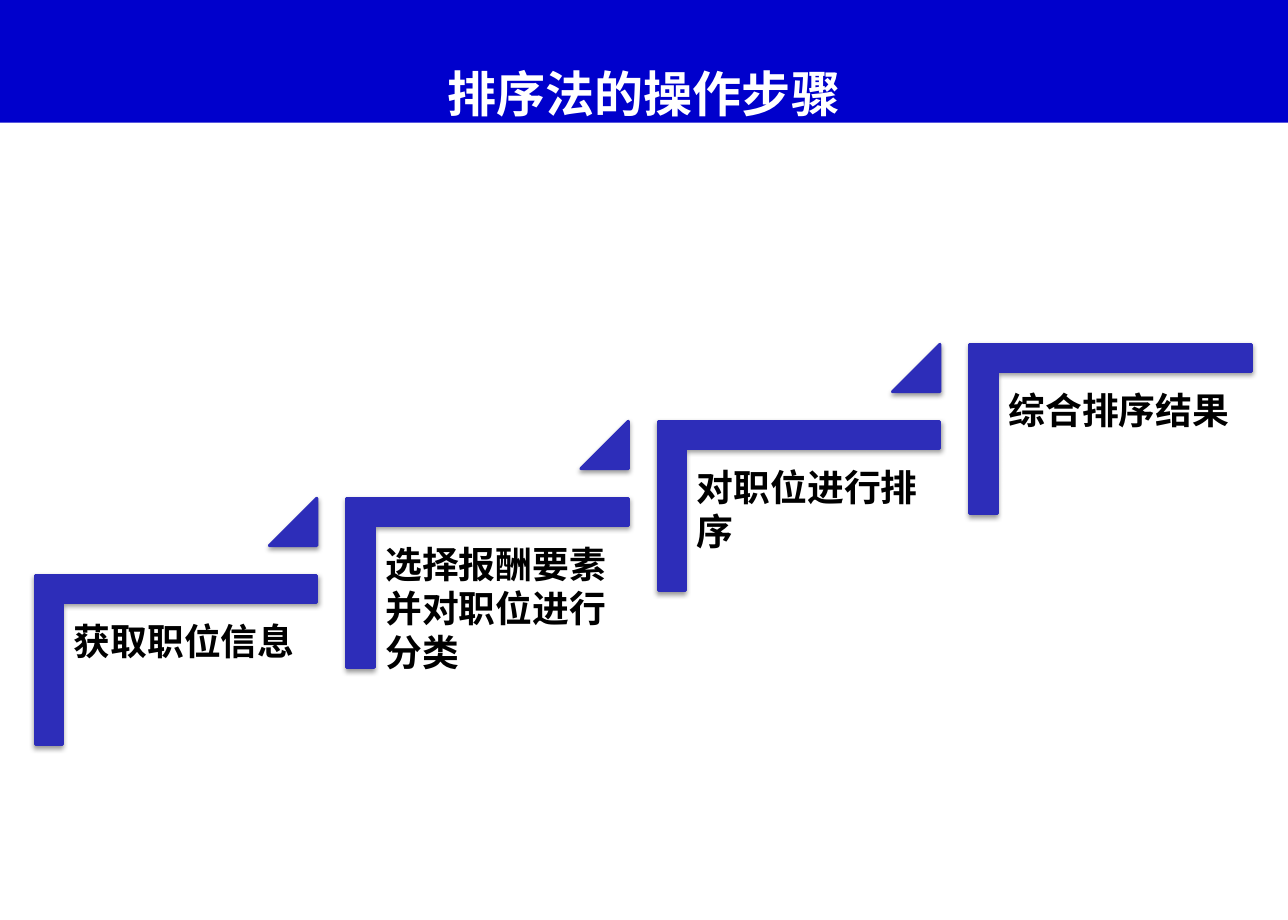
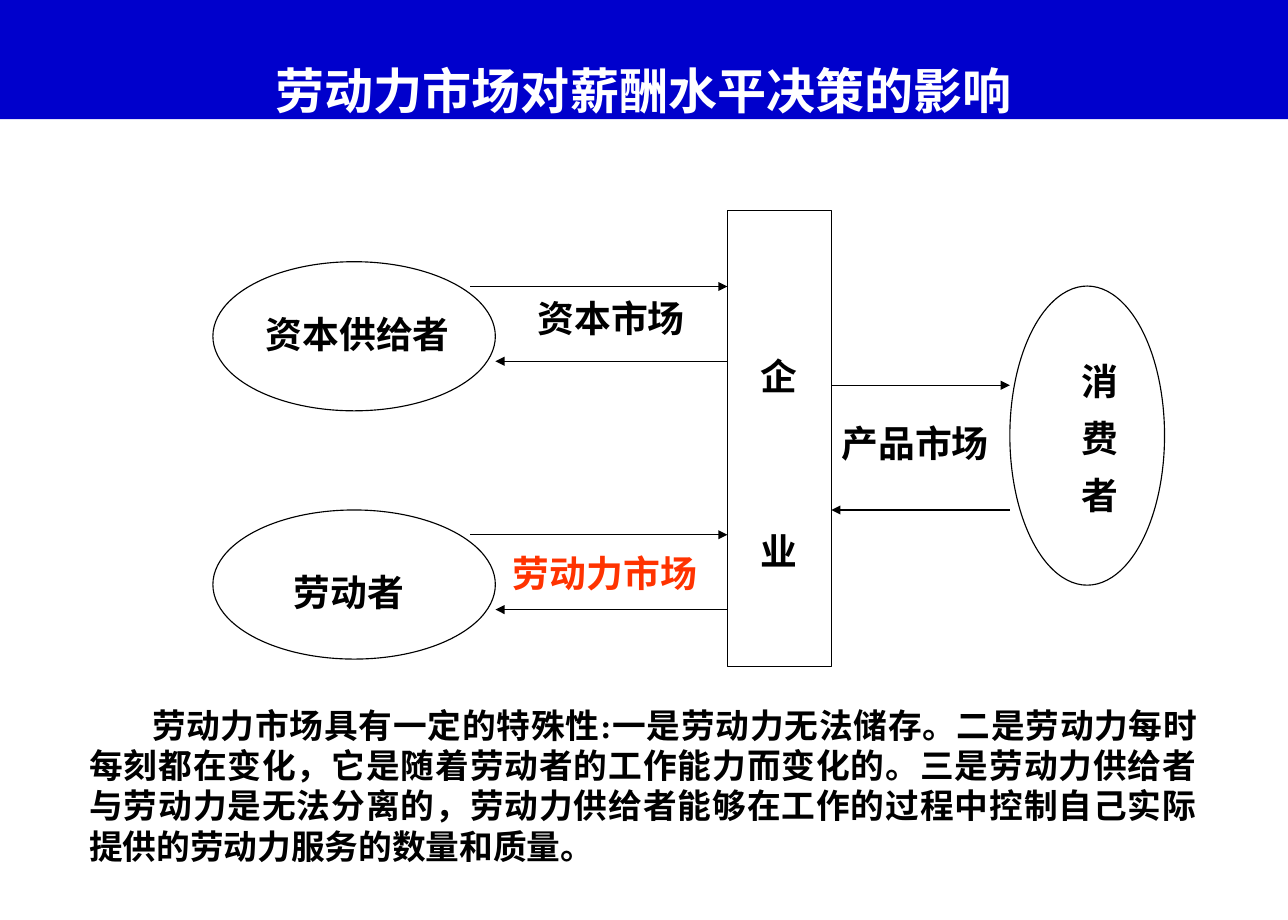
"""Build two slides: the ranking method steps and the labour market diagram."""
import pptx
import pptx.util
import pptx.dml.color
import pptx.enum.shapes
import pptx.enum.text
import pptx.oxml.ns
from lxml import etree

Cm, Pt = pptx.util.Cm, pptx.util.Pt
RGBColor = pptx.dml.color.RGBColor
SHAPE = pptx.enum.shapes.MSO_SHAPE
ALIGN = pptx.enum.text.PP_ALIGN
ANCHOR = pptx.enum.text.MSO_ANCHOR
qn = pptx.oxml.ns.qn

WHITE = RGBColor(0xFF, 0xFF, 0xFF)
BLACK = RGBColor(0, 0, 0)
BAND_BLUE = RGBColor(0x00, 0x00, 0xCC)
STEP_BLUE = RGBColor(0x2D, 0x2D, 0xB9)
RED = RGBColor(0xFF, 0x33, 0x00)

TITLE_FONT = "Noto Sans CJK SC"
BODY_FONT = "Times New Roman"
EAST_ASIAN_FONT = "Noto Sans CJK SC"
SLIDE_W, SLIDE_H = 29.64, 21.16
HAIRLINE = Pt(0.75)

STEPS_TITLE = "排序法的操作步骤"
STEPS = ["获取职位信息", "选择报酬要素并对职位进行分类", "对职位进行排序", "综合排序结果"]
STEP_LEFT, STEP_TOP = 0.81, 13.23
STEP_RIGHTWARD, STEP_UPWARD = 7.17, 1.77
STEP_W, STEP_H = 6.48, 3.89
ARM_RATIO = 16100
MARKER = 1.09

MARKET_TITLE = "劳动力市场对薪酬水平决策的影响"
FIRM = ["企", "业"]
FIRM_BOX = (16.74, 4.85, 2.39, 10.49)
FIRM_LEFT, FIRM_RIGHT = FIRM_BOX[0], FIRM_BOX[0] + FIRM_BOX[2]
SUPPLIER_X, SUPPLIER_W, SUPPLIER_H = 4.9, 6.5, 3.43
SUPPLIER_TOPS = [6.02, 11.73]
CONSUMER_BOX = (23.24, 6.58, 3.56, 6.88)
SALE_Y, PAYMENT_Y = 8.86, 11.73
LABELS = [
    ("资本供给者", (5.54, 6.96, 5.38, 1.73), BLACK, 28.7),
    ("劳动者", (6.38, 12.88, 3.3, 1.73), BLACK, 28.7),
    ("资本市场", (11.4, 6.58, 5.33, 1.73), BLACK, 28.7),
    ("劳动力市场", (11.28, 12.45, 5.28, 1.73), RED, 28.7),
    ("产品市场", (18.85, 9.45, 4.42, 1.73), BLACK, 28.7),
    ("消费者", (24.43, 7.72, 1.78, 4.32), BLACK, 37.4),
]
EXPLANATION = (
    "劳动力市场具有一定的特殊性:一是劳动力无法储存。二是劳动力每时每刻都在变化，"
    "它是随着劳动者的工作能力而变化的。三是劳动力供给者与劳动力是无法分离的，"
    "劳动力供给者能够在工作的过程中控制自己实际提供的劳动力服务的数量和质量。"
)


def cm_box(box):
    return [Cm(length) for length in box]


def add_outline(slide, preset, box, fill=None, line=BLACK, width=HAIRLINE):
    outline = slide.shapes.add_shape(preset, *cm_box(box))
    outline.shadow.inherit = False
    if fill is None:
        outline.fill.background()
    else:
        outline.fill.solid()
        outline.fill.fore_color.rgb = fill
    outline.line.color.rgb = line
    outline.line.width = width
    return outline


def write(holder, lines, size=24, font=BODY_FONT, color=BLACK, align=ALIGN.CENTER,
          anchor=ANCHOR.TOP, insets=(0.25, 0.22, 0.25, 0.13), spacing=None, gap=0, indent=0):
    frame = holder.text_frame
    frame.word_wrap = True
    frame.vertical_anchor = anchor
    (frame.margin_left, frame.margin_top,
     frame.margin_right, frame.margin_bottom) = cm_box(insets)
    for index, line in enumerate(lines):
        paragraph = frame.paragraphs[0] if index == 0 else frame.add_paragraph()
        paragraph.alignment = align
        if spacing:
            paragraph.line_spacing = Pt(spacing)
        if index and gap:
            paragraph.space_before = Pt(gap)
        if indent:
            paragraph._p.get_or_add_pPr().set("indent", str(Cm(indent)))
        run = paragraph.add_run()
        run.text = line
        run.font.size = Pt(size)
        run.font.bold = True
        run.font.name = font
        run.font.color.rgb = color
        east_asian = etree.SubElement(run.font._element, qn("a:ea"))
        east_asian.set("typeface", EAST_ASIAN_FONT)


def add_label(slide, text, box, **style):
    write(slide.shapes.add_textbox(*cm_box(box)), [text], **style)


def add_titled_slide(deck, title, band_height):
    slide = deck.slides.add_slide(deck.slide_layouts[6])
    band = add_outline(slide, SHAPE.RECTANGLE, (0, 0, SLIDE_W, band_height), BAND_BLUE)
    band.line.fill.background()
    write(band, [title], size=32, font=TITLE_FONT, color=WHITE,
          anchor=ANCHOR.BOTTOM, insets=(0.3, 0.15, 0.3, 0))
    return slide


def add_soft_shadow(shape):
    effects = shape._element.spPr.find(qn("a:effectLst"))
    shadow = etree.SubElement(effects, qn("a:outerShdw"), blurRad="40000", dist="20000",
                              dir="5400000", rotWithShape="0")
    black = etree.SubElement(shadow, qn("a:srgbClr"), val="000000")
    etree.SubElement(black, qn("a:alpha"), val="38000")


def bend_into_corner(shape):
    geometry = shape._element.spPr.find(qn("a:prstGeom"))
    geometry.set("prst", "corner")
    guides = geometry.find(qn("a:avLst"))
    for arm in ("adj1", "adj2"):
        etree.SubElement(guides, qn("a:gd"), name=arm, fmla=f"val {ARM_RATIO}")


def add_arrow(slide, start_x, end_x, y):
    arrow = slide.shapes.add_connector(pptx.enum.shapes.MSO_CONNECTOR.STRAIGHT,
                                       Cm(start_x), Cm(y), Cm(end_x), Cm(y))
    arrow.line.color.rgb = BLACK
    arrow.line.width = HAIRLINE
    etree.SubElement(arrow.line._get_or_add_ln(), qn("a:tailEnd"), type="triangle")
    etree.SubElement(arrow._element.spPr, qn("a:effectLst"))


def build_steps(deck):
    slide = add_titled_slide(deck, STEPS_TITLE, 2.82)
    turn = (STEP_W - STEP_H) / 2
    for index, step in enumerate(STEPS):
        left = STEP_LEFT + index * STEP_RIGHTWARD
        top = STEP_TOP - index * STEP_UPWARD
        corner = add_outline(slide, SHAPE.RECTANGLE, (left + turn, top - turn, STEP_H, STEP_W),
                             STEP_BLUE, STEP_BLUE, Pt(2))
        bend_into_corner(corner)
        corner.rotation = 90
        add_soft_shadow(corner)
        add_label(slide, step, (left + 0.64, top + 0.66, 5.87, 5.13), align=ALIGN.LEFT,
                  insets=(0.25, 0.35, 0.25, 0.25), spacing=28.7)
        if index < len(STEPS) - 1:
            marker = add_outline(slide, SHAPE.ISOSCELES_TRIANGLE,
                                 (left + STEP_W - MARKER, top - STEP_UPWARD, MARKER, MARKER),
                                 STEP_BLUE, STEP_BLUE, Pt(2))
            marker.adjustments[0] = 1
            add_soft_shadow(marker)


def build_market(deck):
    slide = add_titled_slide(deck, MARKET_TITLE, 2.74)
    firm = add_outline(slide, SHAPE.RECTANGLE, FIRM_BOX)
    write(firm, FIRM, insets=(0.25, 3.28, 0.25, 0.13), spacing=28.7, gap=86)
    add_outline(slide, SHAPE.OVAL, CONSUMER_BOX)
    supplier_right = SUPPLIER_X + SUPPLIER_W
    for top in SUPPLIER_TOPS:
        add_outline(slide, SHAPE.OVAL, (SUPPLIER_X, top, SUPPLIER_W, SUPPLIER_H))
        add_arrow(slide, supplier_right - 0.58, FIRM_LEFT, top + 0.57)
        add_arrow(slide, FIRM_LEFT, supplier_right, top + 2.29)
    add_arrow(slide, FIRM_RIGHT, CONSUMER_BOX[0], SALE_Y)
    add_arrow(slide, CONSUMER_BOX[0], FIRM_RIGHT, PAYMENT_Y)
    for text, box, color, spacing in LABELS:
        add_label(slide, text, box, color=color, spacing=spacing)
    add_label(slide, EXPLANATION, (1.8, 15.98, 26.01, 4.01), size=22,
              align=ALIGN.JUSTIFY, spacing=26.4, indent=1.45)


def main():
    deck = pptx.Presentation()
    deck.slide_width, deck.slide_height = Cm(SLIDE_W), Cm(SLIDE_H)
    build_steps(deck)
    build_market(deck)
    deck.save("out.pptx")


if __name__ == "__main__":
    main()
